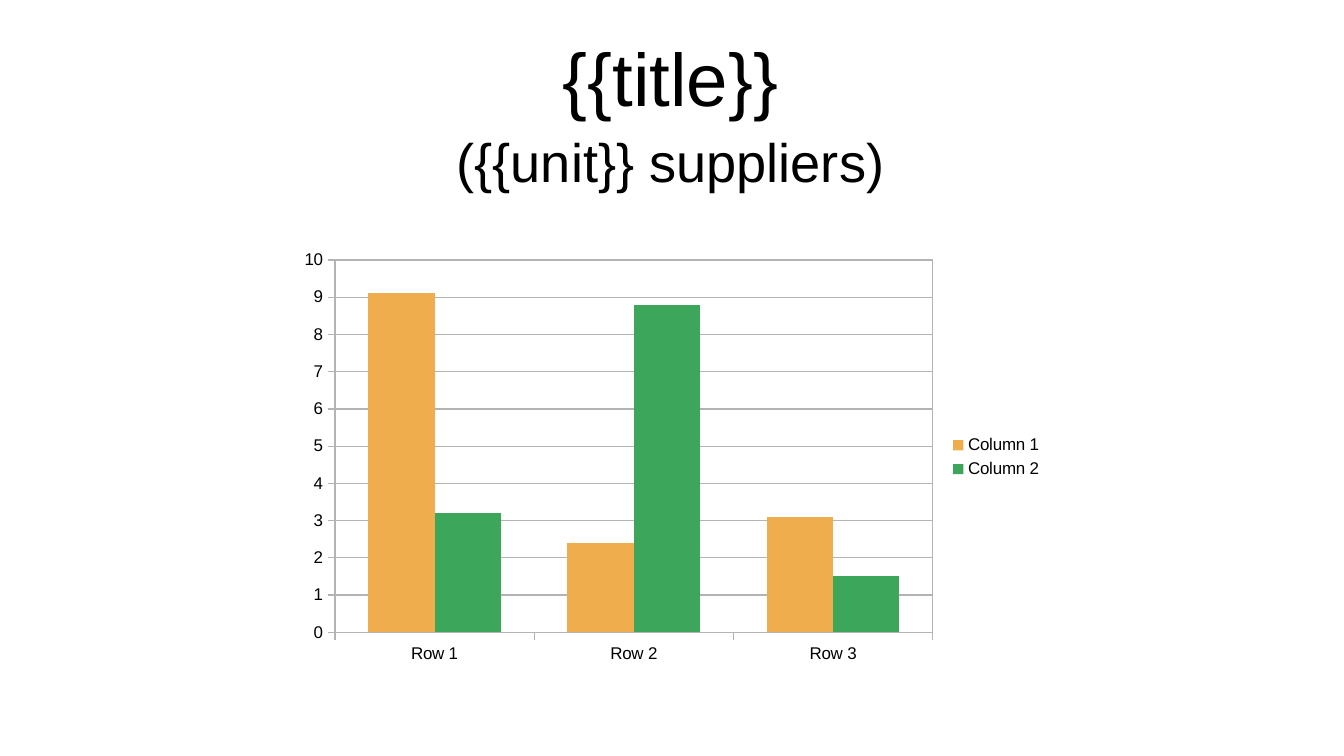
import pptx
import pptx.chart.data
import pptx.dml.color
import pptx.enum.chart
import pptx.enum.text
import pptx.oxml
import pptx.oxml.ns
import pptx.util
from pptx.util import Cm, Pt

hues = {"text": "000000", "grid": "B3B3B3", "Column 1": "F0AD4E", "Column 2": "3CA65B"}


def tint(name):
    return pptx.dml.color.RGBColor.from_string(hues[name])


def style(font, size):
    for key, val in {"name": "Arial", "size": Pt(size), "bold": False}.items():
        setattr(font, key, val)
    font.color.rgb = tint("text")


deck = pptx.Presentation()
deck.slide_width, deck.slide_height = Cm(28), Cm(15.75)
slide = deck.slides.add_slide(deck.slide_layouts[0])

anchor = pptx.enum.text.MSO_ANCHOR
heads = [
    ("{{title}}", 44, 0.66, 1.88, anchor.MIDDLE, (0, 0)),
    ("({{unit}} suppliers)", 32, 2.54, 1.6, anchor.TOP, (0.25, 0.13)),
]
for box, (text, size, top, high, side, (pad_x, pad_y)) in zip(slide.placeholders, heads):
    place = {"left": Cm(1.35), "top": Cm(top), "width": Cm(25.25), "height": Cm(high)}
    for key, val in place.items():
        setattr(box, key, val)
    frame = box.text_frame
    form = {
        "text": text,
        "word_wrap": True,
        "auto_size": pptx.enum.text.MSO_AUTO_SIZE.NONE,
        "vertical_anchor": side,
        "margin_left": Cm(pad_x),
        "margin_right": Cm(pad_x),
        "margin_top": Cm(pad_y),
        "margin_bottom": Cm(pad_y),
    }
    for key, val in form.items():
        setattr(frame, key, val)
    line = frame.paragraphs[0]
    line.alignment = pptx.enum.text.PP_ALIGN.CENTER
    line.space_before = Pt(0)
    style(line.runs[0].font, size)

data = pptx.chart.data.CategoryChartData()
data.categories = ["Row 1", "Row 2", "Row 3"]
data.add_series("Column 1", [9.1, 2.4, 3.1])
data.add_series("Column 2", [3.2, 8.8, 1.5])
kind = pptx.enum.chart.XL_CHART_TYPE.COLUMN_CLUSTERED
chart = slide.shapes.add_chart(kind, Cm(6.02), Cm(5.03), Cm(15.95), Cm(8.99), data).chart
style(chart.font, 10)
chart.has_title = False
chart.has_legend = True
chart.legend.position = pptx.enum.chart.XL_LEGEND_POSITION.RIGHT
chart.legend.include_in_layout = False
style(chart.legend.font, 10)

plot = chart.plots[0]
for key, val in {"gap_width": 100, "overlap": 0, "vary_by_categories": False}.items():
    setattr(plot, key, val)
for bars in plot.series:
    bars.format.fill.solid()
    bars.format.fill.fore_color.rgb = tint(bars.name)

rows, scale = chart.category_axis, chart.value_axis
limits = {"minimum_scale": 0, "maximum_scale": 10, "major_unit": 1, "has_major_gridlines": True}
for key, val in limits.items():
    setattr(scale, key, val)
for axis in (rows, scale):
    axis.major_tick_mark = pptx.enum.chart.XL_TICK_MARK.OUTSIDE
    axis.minor_tick_mark = pptx.enum.chart.XL_TICK_MARK.NONE
    style(axis.tick_labels.font, 10)
for part in (rows, scale, scale.major_gridlines):
    part.format.line.color.rgb = tint("grid")
    part.format.line.width = Pt(0.75)

area = plot._element.getparent()
for old in area.findall(pptx.oxml.ns.qn("c:layout")):
    area.remove(old)
spaces = pptx.oxml.ns.nsdecls("c", "a")
spots = "".join(
    f'<c:{key} val="{val}"/>'
    for key, val in {
        "layoutTarget": "inner", "xMode": "edge", "yMode": "edge",
        "x": 0.06, "y": 0.043, "w": 0.781, "h": 0.863,
    }.items()
)
area.insert(0, pptx.oxml.parse_xml(
    f"<c:layout {spaces}><c:manualLayout>{spots}</c:manualLayout></c:layout>"
))
area.append(pptx.oxml.parse_xml(
    f'<c:spPr {spaces}><a:noFill/><a:ln w="9525"><a:solidFill>'
    f'<a:srgbClr val="{hues["grid"]}"/></a:solidFill></a:ln></c:spPr>'
))

deck.save("out.pptx")
